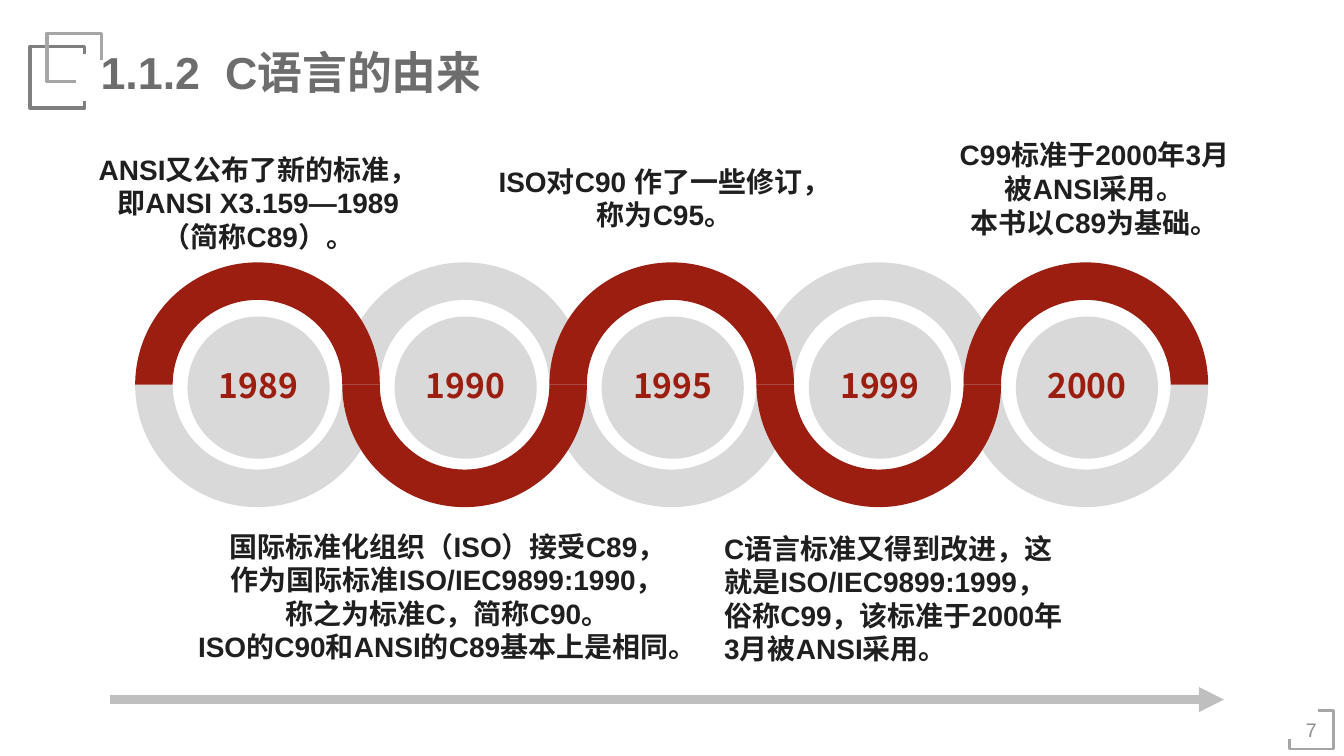
from lxml import etree
from pptx import Presentation
from pptx.dml.color import RGBColor
from pptx.enum import shapes, text
from pptx.oxml import ns
from pptx.util import Pt

LATIN, CJK = "Arial", "Noto Sans CJK SC"
RED, GREY, INK = "9B1E11", "D9D9D9", "1F1F1F"
LEFT, CENTER = text.PP_ALIGN.LEFT, text.PP_ALIGN.CENTER

TITLE = "1.1.2\tC语言的由来"
TITLE_TAB = 89
PAGE = "7"
YEARS = ["1989", "1990", "1995", "1999", "2000"]

# (left, top, width, height), alignment, wrap, lines
NOTES = [
    ((52.6, 105.1, 264, 79), CENTER, True,
     ["ANSI又公布了新的标准，", "即ANSI X3.159—1989", "（简称C89）。"]),
    ((342, 113.8, 265.7, 55.4), CENTER, False,
     ["ISO对C90 作了一些修订，", "称为C95。"]),
    ((666.7, 95, 231, 79), CENTER, False,
     ["C99标准于2000年3月", "被ANSI采用。", "本书以C89为基础。"]),
    ((117.4, 374.4, 404.6, 103), CENTER, False,
     ["国际标准化组织（ISO）接受C89，", "作为国际标准ISO/IEC9899:1990，",
      "称之为标准C，简称C90。", "ISO的C90和ANSI的C89基本上是相同。"]),
    ((510.5, 375.8, 256.3, 103), LEFT, True,
     ["C语言标准又得到改进，这就是ISO/IEC9899:1999，俗称C99，该标准于2000年3月被ANSI采用。"]),
]

# points, colour, line width
BRACKETS = [
    ([(60.5, 38.9), (60.5, 33.1), (21.6, 33.1), (21.6, 77), (60.5, 77), (60.5, 72)],
     "7F7F7F", 2.5),
    ([(72.7, 43.2), (72.7, 23.8), (33.8, 23.8), (33.8, 58.3), (54.7, 58.3)],
     "A6A6A6", 2.5),
    ([(921.6, 527.8), (921.6, 535), (953.3, 535), (953.3, 507.6), (941.8, 507.6)],
     "A6A6A6", 2),
]

RING_LEFT, RING_TOP, RING_SIZE, BAND = 96.6, 187.4, 174.8, 26.8
DISC_LEFT, DISC_TOP, DISC_SIZE = 134, 226.1, 101.6
PITCH = 148


def rgb(value):
    return RGBColor.from_string(value)


def paint(s, fill):
    s.shadow.inherit = False
    s.fill.solid()
    s.fill.fore_color.rgb = rgb(fill)
    s.line.fill.background()


def write(s, lines, size, color, align=LEFT, bold=True, font=LATIN, tab=None,
          spacing=None, **frame):
    """Fill a shape with paragraphs; frame holds text frame settings."""
    tf = s.text_frame
    for name, value in frame.items():
        setattr(tf, name, value)
    for i, line in enumerate(lines):
        p = tf.add_paragraph() if i else tf.paragraphs[0]
        if tab:
            tabs = etree.SubElement(p._p.get_or_add_pPr(), ns.qn("a:tabLst"))
            etree.SubElement(tabs, ns.qn("a:tab"), pos=str(Pt(tab)), algn="l")
        p.alignment = align
        p.line_spacing = spacing
        r = p.add_run()
        r.text = line
        for name, value in {"size": Pt(size), "bold": bold, "name": font}.items():
            setattr(r.font, name, value)
        r.font.color.rgb = rgb(color)
        etree.SubElement(r._r.get_or_add_rPr(), ns.qn("a:ea"), typeface=CJK)


def add_text(slide, box, lines, *args, **kwargs):
    write(slide.shapes.add_textbox(*map(Pt, box)), lines, *args, **kwargs)


def add_bracket(slide, points, color, width):
    corners = [(Pt(x), Pt(y)) for x, y in points]
    builder = slide.shapes.build_freeform(*corners[0])
    builder.add_line_segments(corners[1:], close=False)
    s = builder.convert_to_shape()
    s.shadow.inherit = False
    s.fill.background()
    s.line.color.rgb = rgb(color)
    s.line.width = Pt(width)


def add_half_ring(slide, index, lower, color):
    s = slide.shapes.add_shape(
        shapes.MSO_SHAPE.BLOCK_ARC, Pt(RING_LEFT + index * PITCH), Pt(RING_TOP),
        Pt(RING_SIZE), Pt(RING_SIZE))
    s.adjustments[2] = BAND / RING_SIZE
    s.rotation = 180 if lower else 0
    paint(s, color)


def add_disc(slide, index, year):
    s = slide.shapes.add_shape(
        shapes.MSO_SHAPE.OVAL, Pt(DISC_LEFT + index * PITCH), Pt(DISC_TOP),
        Pt(DISC_SIZE), Pt(DISC_SIZE))
    paint(s, GREY)
    write(s, [year], 24, RED, CENTER, font=CJK, spacing=0.9, word_wrap=False,
          vertical_anchor=text.MSO_ANCHOR.MIDDLE, margin_left=0, margin_right=0,
          margin_top=0, margin_bottom=0)


def add_time_arrow(slide):
    s = slide.shapes.add_connector(
        shapes.MSO_CONNECTOR.STRAIGHT, Pt(78.8), Pt(499.7), Pt(874.8), Pt(499.7))
    s.line.color.rgb = rgb("BFBFBF")
    s.line.width = Pt(6)
    etree.SubElement(s.line._get_or_add_ln(), ns.qn("a:tailEnd"), type="triangle")
    etree.SubElement(s._element.spPr, ns.qn("a:effectLst"))


def main():
    prs = Presentation()
    prs.slide_width, prs.slide_height = Pt(960.5), Pt(540)
    slide = prs.slides.add_slide(prs.slide_layouts[6])

    add_text(slide, (921.6, 501.8, 31, 38.9), [PAGE], 14, "8F8F8F", CENTER,
             bold=False, word_wrap=True, margin_left=Pt(5), margin_right=Pt(5),
             vertical_anchor=text.MSO_ANCHOR.MIDDLE)
    for bracket in BRACKETS:
        add_bracket(slide, *bracket)
    add_time_arrow(slide)

    # The red wave runs over even rings and under odd ones, above the grey halves
    for color in (GREY, RED):
        for i in range(len(YEARS)):
            add_half_ring(slide, i, (i % 2 == 0) == (color == GREY), color)
    for i, year in enumerate(YEARS):
        add_disc(slide, i, year)

    for box, align, wrap, lines in NOTES:
        add_text(slide, box, lines, 20, INK, align, word_wrap=wrap)
    add_text(slide, (64.8, 28.1, 294.5, 45.4), [TITLE], 32, "6D6D6D",
             tab=TITLE_TAB, word_wrap=False)
    prs.save("out.pptx")


if __name__ == "__main__":
    main()
